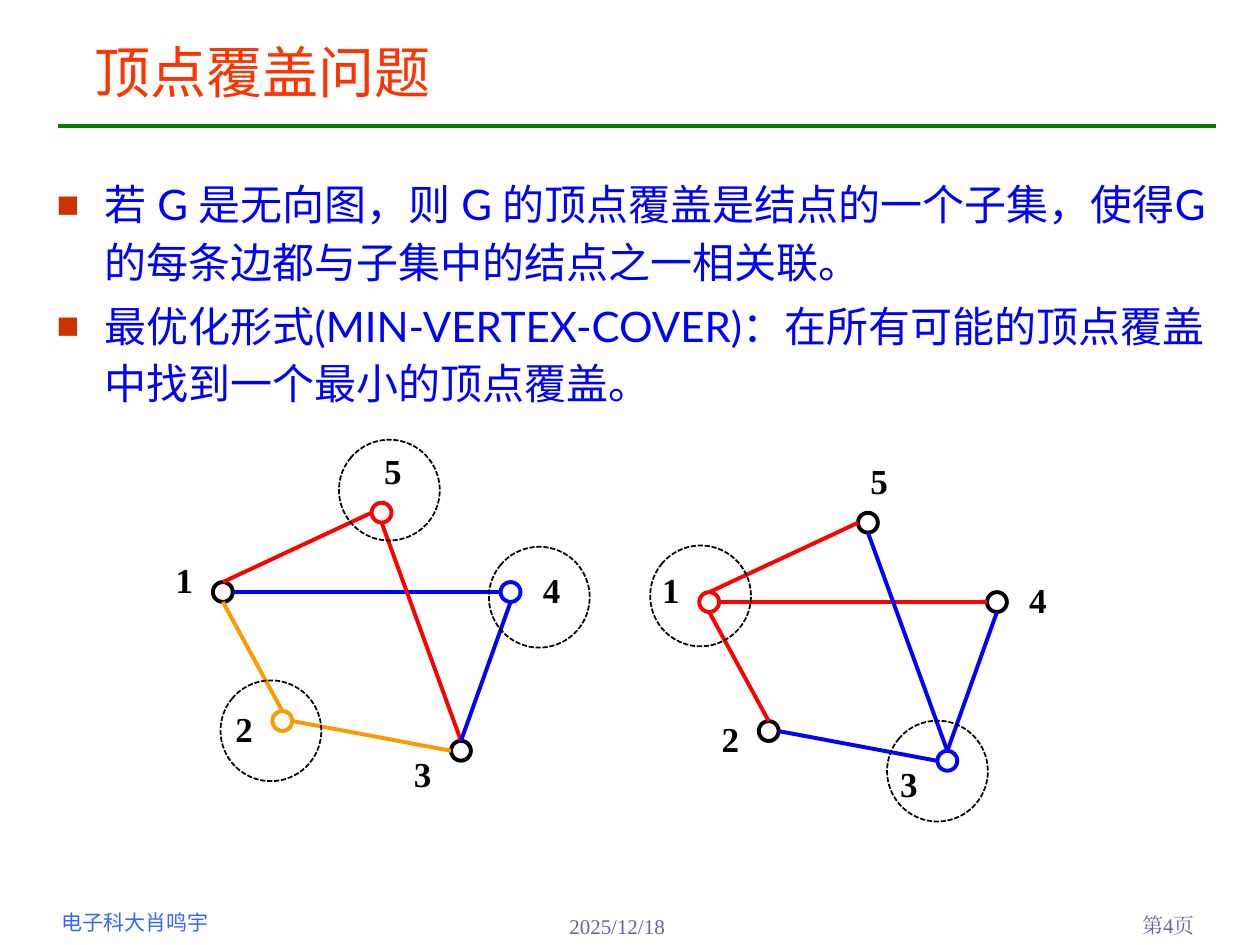
from lxml.etree import SubElement
from pptx import Presentation
from pptx.dml.color import RGBColor
from pptx.enum.dml import MSO_LINE
from pptx.enum.shapes import MSO_CONNECTOR, MSO_SHAPE
from pptx.enum.text import MSO_ANCHOR, MSO_AUTO_SIZE, PP_ALIGN
from pptx.oxml.ns import qn
from pptx.util import Inches, Pt

RED = RGBColor(0xFF, 0x00, 0x00)
BLUE = RGBColor(0x00, 0x00, 0xFF)
BLACK = RGBColor(0x00, 0x00, 0x00)
ORANGE = RGBColor(0xFF, 0x99, 0x00)
GREEN = RGBColor(0x00, 0x80, 0x00)
SCARLET = RGBColor(0xFF, 0x33, 0x00)
SKY = RGBColor(0x33, 0x66, 0xFF)
SLATE = RGBColor(0x66, 0x66, 0x99)
RUST = "CC3300"

STEP = Inches(0.63) // 4
HALO = Inches(0.8)
HEAVY = Pt(2.25)

HEAD = {"name": "Noto Sans CJK SC", "size": Pt(32), "color": SCARLET}
BODY = {"name": "Lato", "size": Pt(24), "color": BLUE}
LABEL = {"name": "Times New Roman", "size": Pt(20), "bold": True, "color": BLACK}
SMALL = {"name": "Times New Roman", "size": Pt(12), "color": SLATE}
AUTHOR = {"name": "Arial", "size": Pt(12), "color": SKY}

POINTS = [
    "若 G 是无向图，则 G 的顶点覆盖是结点的一个子集，使得G 的每条边都与子集中的结点之一相关联。",
    "最优化形式(MIN-VERTEX-COVER)：在所有可能的顶点覆盖中找到一个最小的顶点覆盖。",
]

NODES = {1: (0, 0), 2: (3, 6.5), 3: (12, 8), 4: (14.5, 0), 5: (8, -4)}
LABELS = {1: (-2.5, -1.5), 2: (-2.5, -0.5), 3: (-2.5, 0.25), 4: (1.5, -1), 5: (0, -3)}
SIDES = {"top": (0.5, 0), "left": (0, 0.5), "base": (0.5, 1), "right": (1, 0.5)}
EDGES = [
    (1, "right", 4, "left"),
    (1, "top", 5, "left"),
    (1, "base", 2, "top"),
    (5, "base", 3, "top"),
    (2, "right", 3, "left"),
    (4, "base", 3, "top"),
]
GRAPHS = [
    {
        "start": (5.55, 4.7),
        "nodes": {1: RED, 3: BLUE},
        "edges": [RED, RED, RED, BLUE, BLUE, BLUE],
        "halos": [(7.04, 5.72), (5.16, 4.33)],
    },
    {
        "start": (1.69, 4.62),
        "nodes": {2: ORANGE, 4: BLUE, 5: RED},
        "edges": [BLUE, RED, ORANGE, RED, ORANGE, BLUE],
        "halos": [(3.88, 4.34), (2.69, 3.49), (1.75, 5.4)],
    },
]


def style(para, form):
    for run in para.runs:
        for key, value in form.items():
            if key == "color":
                run.font.color.rgb = value
            else:
                setattr(run.font, key, value)
        SubElement(run.font._element, qn("a:ea"), typeface=form["name"])


def place(shape, left, top, width, height):
    box = {"left": left, "top": top, "width": width, "height": height}
    for key, value in box.items():
        setattr(shape, key, Inches(value))


def add_text(slide, text, spot, form, align=PP_ALIGN.LEFT):
    box = slide.shapes.add_textbox(*map(Inches, spot))
    box.text_frame.word_wrap = True
    para = box.text_frame.paragraphs[0]
    para.text = text
    para.alignment = align
    style(para, form)


def add_line(slide, start, end, color):
    line = slide.shapes.add_connector(MSO_CONNECTOR.STRAIGHT, *start, *end)
    line.line.color.rgb = color
    line.line.width = HEAVY
    SubElement(line._element.spPr, qn("a:effectLst"))


def add_ring(slide, left, top, size, color, width):
    ring = slide.shapes.add_shape(MSO_SHAPE.OVAL, left, top, size, size)
    ring.shadow.inherit = False
    ring.fill.background()
    ring.line.color.rgb = color
    ring.line.width = width
    return ring


def fill_title(slide):
    title = slide.shapes.title
    place(title, 0.65, 0.21, 8.83, 0.67)
    frame = title.text_frame
    frame.text = "顶点覆盖问题"
    frame.auto_size = MSO_AUTO_SIZE.NONE
    frame.vertical_anchor = MSO_ANCHOR.BOTTOM
    frame.paragraphs[0].alignment = PP_ALIGN.LEFT
    style(frame.paragraphs[0], HEAD)


def add_bullet(para):
    props = para._p.get_or_add_pPr()
    props.set("marL", str(Inches(0.38)))
    props.set("indent", str(-Inches(0.38)))
    tint = SubElement(props, qn("a:buClr"))
    SubElement(tint, qn("a:srgbClr"), val=RUST)
    SubElement(props, qn("a:buSzPct"), val="90000")
    SubElement(props, qn("a:buFont"), typeface="Arial")
    SubElement(props, qn("a:buChar"), char="■")


def fill_body(slide):
    body = slide.placeholders[1]
    place(body, 0.35, 1.31, 9.37, 2.2)
    frame = body.text_frame
    frame.text = "\n".join(POINTS)
    frame.auto_size = MSO_AUTO_SIZE.NONE
    for rank, para in enumerate(frame.paragraphs):
        add_bullet(para)
        para.line_spacing = 1.15
        para.space_before = Pt(3 if rank else 0)
        style(para, BODY)


def add_graph(slide, graph):
    left, top = map(Inches, graph["start"])

    def spot(node, shift=(0, 0)):
        col, row = NODES[node]
        return int(left + (col + shift[0]) * STEP), int(top + (row + shift[1]) * STEP)

    for node in NODES:
        color = graph["nodes"].get(node, BLACK)
        add_ring(slide, *spot(node), STEP, color, HEAVY)
        x, y = (part / Inches(1) for part in spot(node, LABELS[node]))
        add_text(slide, str(node), (x, y, 0.39, 0.43), LABEL)
    for (tail, out, head, into), color in zip(EDGES, graph["edges"]):
        add_line(slide, spot(tail, SIDES[out]), spot(head, SIDES[into]), color)
    for halo in graph["halos"]:
        ring = add_ring(slide, *map(Inches, halo), HALO, BLACK, Pt(1))
        ring.line.dash_style = MSO_LINE.SQUARE_DOT
        ring.rotation = 39.3


def main():
    deck = Presentation()
    deck.slide_width, deck.slide_height = Inches(10), Inches(7.5)
    slide = deck.slides.add_slide(deck.slide_layouts[1])
    fill_title(slide)
    fill_body(slide)
    add_line(slide, (Inches(0.46), Inches(1)), (Inches(9.65), Inches(1)), GREEN)
    add_text(slide, "电子科大肖鸣宇", (0.39, 7.17, 2.01, 0.3), AUTHOR)
    add_text(slide, "2025/12/18", (4.42, 7.2, 1.99, 0.41), SMALL)
    add_text(slide, "第4页", (8.7, 7.19, 0.88, 0.31), SMALL, PP_ALIGN.RIGHT)
    for graph in GRAPHS:
        add_graph(slide, graph)
    deck.save("out.pptx")


if __name__ == "__main__":
    main()
